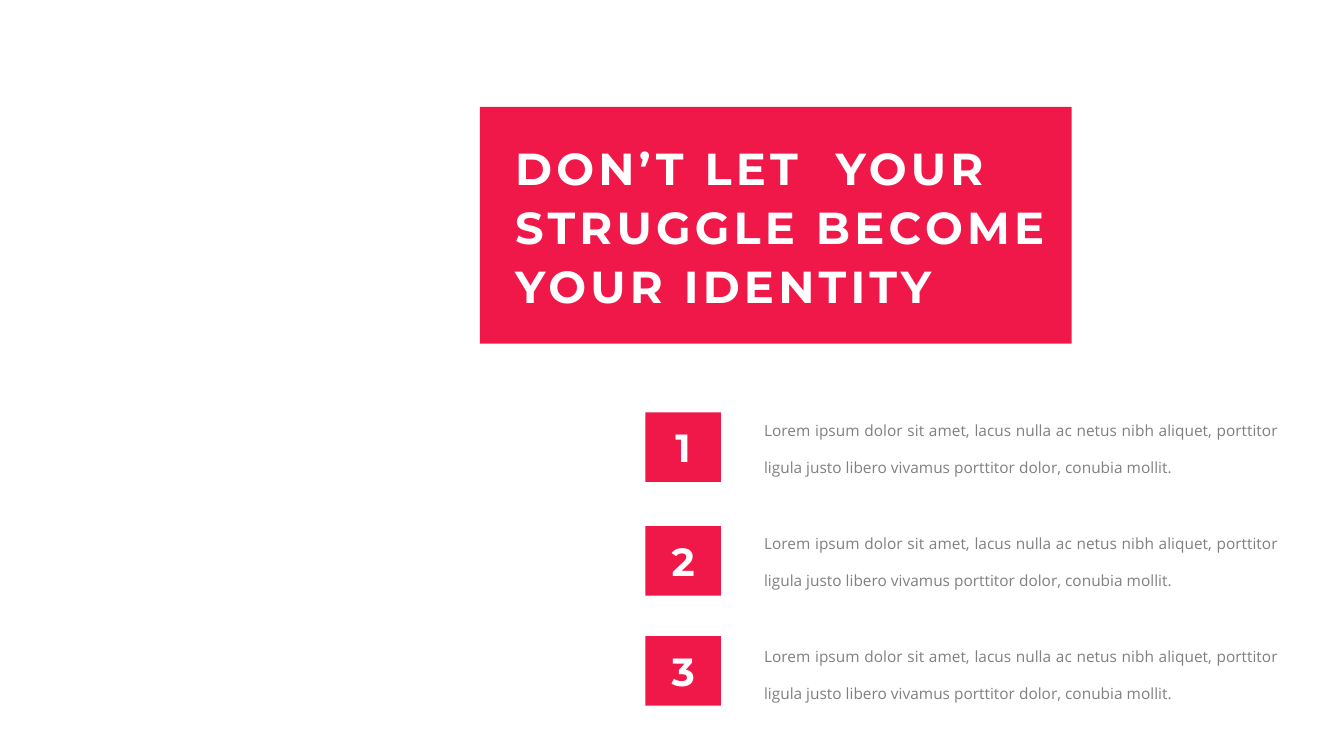
from pptx import Presentation
from pptx.dml.color import RGBColor
from pptx.enum.shapes import MSO_SHAPE
from pptx.enum.text import MSO_ANCHOR, MSO_AUTO_SIZE, PP_ALIGN
from pptx.util import Inches, Pt

RED = RGBColor(0xEF, 0x18, 0x49)
WHITE = RGBColor(0xFF, 0xFF, 0xFF)
GRAY = RGBColor(0x80, 0x80, 0x80)

HEADLINE = "DON’T LET  YOUR\nSTRUGGLE BECOME\nYOUR IDENTITY"
POINT = ("Lorem ipsum dolor sit amet, lacus nulla ac netus nibh aliquet, porttitor "
         "ligula justo libero vivamus porttitor dolor, conubia mollit.")
# Top of each badge and of the text beside it, in inches
POINT_TOPS = [(4.09, 3.94), (5.22, 5.07), (6.31, 6.19)]


def place(shape, left, top, width, height):
    shape.left, shape.top = Inches(left), Inches(top)
    shape.width, shape.height = Inches(width), Inches(height)


def add_red_box(slide, left, top, width, height):
    box = slide.shapes.add_shape(MSO_SHAPE.RECTANGLE, Inches(left), Inches(top),
                                 Inches(width), Inches(height))
    box.shadow.inherit = False
    box.fill.solid()
    box.fill.fore_color.rgb = RED
    box.line.fill.background()
    return box


def format_text(frame, font_name, size, color, align, bold=False, line_spacing=1.0):
    frame.word_wrap = True
    for paragraph in frame.paragraphs:
        paragraph.alignment = align
        paragraph.line_spacing = line_spacing
        paragraph.space_before = Pt(0)
        for run in paragraph.runs:
            run.font.name = font_name
            run.font.size = Pt(size)
            run.font.bold = bold
            run.font.color.rgb = color


def add_headline(slide, left, top, width, height):
    banner = add_red_box(slide, left, top, width, height)
    title = slide.shapes.title
    title.element.addprevious(banner.element)  # banner goes behind the title
    place(title, left + 0.25, top + 0.23, width - 0.26, 1.85)
    frame = title.text_frame
    frame.text = HEADLINE
    frame.vertical_anchor = MSO_ANCHOR.TOP
    frame.auto_size = MSO_AUTO_SIZE.SHAPE_TO_FIT_TEXT
    format_text(frame, "Montserrat", 32, WHITE, PP_ALIGN.LEFT, True, 1.1)
    for paragraph in frame.paragraphs:
        for run in paragraph.runs:
            run.font._element.set("spc", "300")


def add_point(slide, number, left, badge_top, text_top):
    badge = add_red_box(slide, left, badge_top, 0.75, 0.69)
    badge.text_frame.text = str(number)
    badge.text_frame.vertical_anchor = MSO_ANCHOR.MIDDLE
    format_text(badge.text_frame, "Montserrat", 28, WHITE, PP_ALIGN.CENTER, True)

    description = slide.shapes.add_textbox(Inches(left + 1.08), Inches(text_top),
                                           Inches(5.3), Inches(0.79))
    description.text_frame.text = POINT
    description.text_frame.auto_size = MSO_AUTO_SIZE.SHAPE_TO_FIT_TEXT
    format_text(description.text_frame, "Open Sans", 11, GRAY, PP_ALIGN.JUSTIFY,
                line_spacing=2.0)


def main():
    deck = Presentation()
    deck.slide_width, deck.slide_height = Inches(13.33), Inches(7.5)
    slide = deck.slides.add_slide(deck.slide_layouts[5])
    add_headline(slide, 4.76, 1.06, 5.87, 2.35)
    for number, (badge_top, text_top) in enumerate(POINT_TOPS, start=1):
        add_point(slide, number, 6.4, badge_top, text_top)
    deck.save("out.pptx")


if __name__ == "__main__":
    main()
